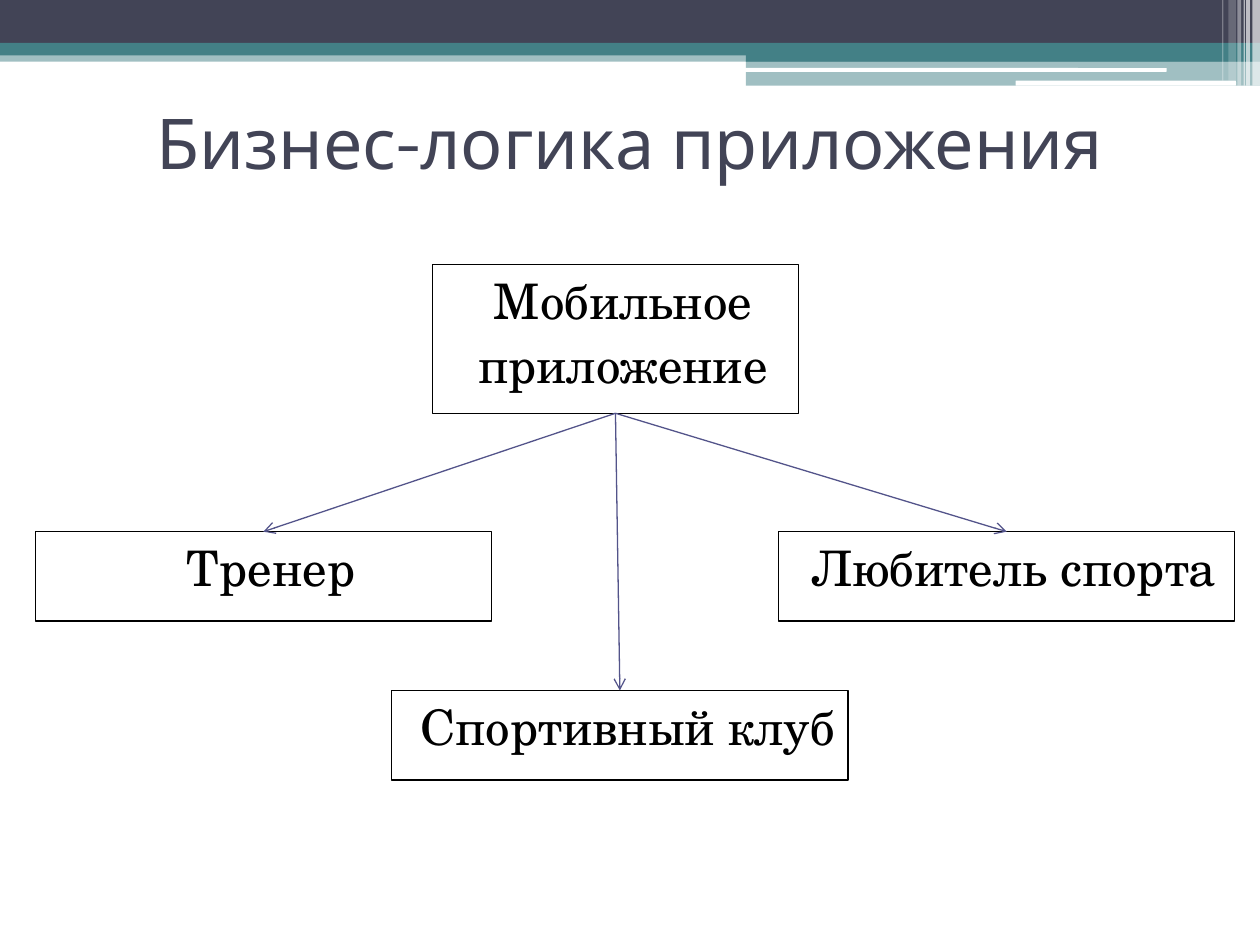
"""Build the slide showing who uses the mobile application."""
from dataclasses import dataclass

import lxml.etree
import pptx
import pptx.dml.color
import pptx.enum.shapes
import pptx.enum.text
import pptx.oxml.ns
import pptx.util
from pptx.util import Inches

NAVY, TEAL, WHITE, BLACK, VIOLET = "424456", "438086", "FFFFFF", "000000", "53548A"
RECT = pptx.enum.shapes.MSO_SHAPE.RECTANGLE
ROUND = pptx.enum.shapes.MSO_SHAPE.ROUNDED_RECTANGLE
CENTER = pptx.enum.text.PP_ALIGN.CENTER
ANCHOR = pptx.enum.text.MSO_ANCHOR


@dataclass
class Bar:
    left: float
    top: float
    width: float
    height: float
    color: str
    opacity: int = 100
    kind: int = RECT


@dataclass
class Box:
    left: float
    top: float
    width: float
    height: float
    lines: tuple


BARS = [
    Bar(0, 0.4, 10, 0.09, TEAL, 50),
    Bar(0, 0, 10, 0.34, NAVY),
    Bar(0, 0.34, 10, 0.1, TEAL),
    Bar(5.92, 0.39, 4.08, 0.1, TEAL),
    Bar(5.92, 0.48, 4.08, 0.2, TEAL, 50),
    Bar(5.91, 0.54, 3.35, 0.03, WHITE, kind=ROUND),
    Bar(8.06, 0.64, 1.75, 0.04, WHITE, kind=ROUND),
    Bar(9.94, 0, 0.06, 0.68, WHITE, 65),
    Bar(9.89, 0, 0.03, 0.68, WHITE, 65),
    Bar(9.87, 0, 0.01, 0.68, WHITE, 60),
    Bar(9.82, 0, 0.03, 0.68, WHITE, 40),
    Bar(9.75, 0, 0.06, 0.64, WHITE, 20),
    Bar(9.7, 0, 0.01, 0.64, WHITE, 30),
]
APP = Box(3.43, 2.1, 2.91, 1.18, ("Мобильное", "приложение"))
USERS = [
    Box(0.28, 4.22, 3.62, 0.71, ("Тренер",)),
    Box(3.11, 5.48, 3.62, 0.71, ("Спортивный клуб",)),
    Box(6.18, 4.22, 3.62, 0.71, ("Любитель спорта",)),
]


def rgb(color: str) -> pptx.dml.color.RGBColor:
    """Turn a hex string into a colour."""
    return pptx.dml.color.RGBColor.from_string(color)


def add_xml(parent, tag: str, **attrs: str) -> None:
    """Append an XML element to a parent."""
    lxml.etree.SubElement(parent, pptx.oxml.ns.qn(tag), attrs)


def style_font(p, name: str, size: float, color: str) -> None:
    """Set the font of a whole paragraph."""
    p.font.name = name
    p.font.size = pptx.util.Pt(size)
    p.font.color.rgb = rgb(color)


def add_rect(s, item, kind: int = RECT):
    """Add a shape without shadow at the item's place."""
    sp = s.shapes.add_shape(kind, Inches(item.left), Inches(item.top),
                            Inches(item.width), Inches(item.height))
    sp.shadow.inherit = False
    return sp


def add_bar(s, bar: Bar) -> None:
    """Add one filled bar of the header."""
    sp = add_rect(s, bar, bar.kind)
    sp.fill.solid()
    sp.fill.fore_color.rgb = rgb(bar.color)
    sp.line.fill.background()
    if bar.opacity < 100:
        clr = sp._element.spPr.find(".//" + pptx.oxml.ns.qn("a:srgbClr"))
        add_xml(clr, "a:alpha", val=str(bar.opacity * 1000))


def add_box(s, box: Box):
    """Add an outlined box with one paragraph per line."""
    sp = add_rect(s, box)
    sp.fill.background()
    sp.line.color.rgb = rgb(BLACK)
    sp.line.width = pptx.util.Pt(0.75)
    tf = sp.text_frame
    tf.word_wrap = True
    tf.vertical_anchor = ANCHOR.TOP
    tf.text = "\n".join(box.lines)
    for p in tf.paragraphs:
        p.alignment = CENTER
        p.space_before = pptx.util.Pt(3)
        pPr = p._p.get_or_add_pPr()
        pPr.set("marL", str(int(Inches(0.4))))
        pPr.set("indent", str(int(Inches(-0.28))))
        style_font(p, "TeX Gyre Schola", 28, BLACK)
    return sp


def add_arrow(s, start, end) -> None:
    """Join the bottom of one box to the top of another."""
    line = s.shapes.add_connector(pptx.enum.shapes.MSO_CONNECTOR.STRAIGHT, 0, 0, 0, 0)
    line.begin_connect(start, 2)
    line.end_connect(end, 0)
    line.line.color.rgb = rgb(VIOLET)
    line.line.width = pptx.util.Pt(0.75)
    spPr = line._element.spPr
    add_xml(spPr.find(pptx.oxml.ns.qn("a:ln")), "a:tailEnd", type="arrow")
    add_xml(spPr, "a:effectLst")


def add_title(s, text: str) -> None:
    """Place and format the title."""
    sp = s.shapes.title
    sp.left, sp.top, sp.width, sp.height = map(Inches, (0.5, 0.54, 9, 1.17))
    tf = sp.text_frame
    tf.text = text
    tf.vertical_anchor = ANCHOR.MIDDLE
    p = tf.paragraphs[0]
    p.alignment = CENTER
    style_font(p, "Karla", 40, NAVY)


def main() -> None:
    """Build and save the presentation."""
    prs = pptx.Presentation()
    prs.slide_width, prs.slide_height = Inches(10), Inches(7.5)
    s = prs.slides.add_slide(prs.slide_layouts[5])
    for bar in BARS:
        add_bar(s, bar)
    add_title(s, "Бизнес-логика приложения")
    app = add_box(s, APP)
    users = [add_box(s, user) for user in USERS]
    for user in users:
        add_arrow(s, app, user)
    prs.save("out.pptx")


main()
